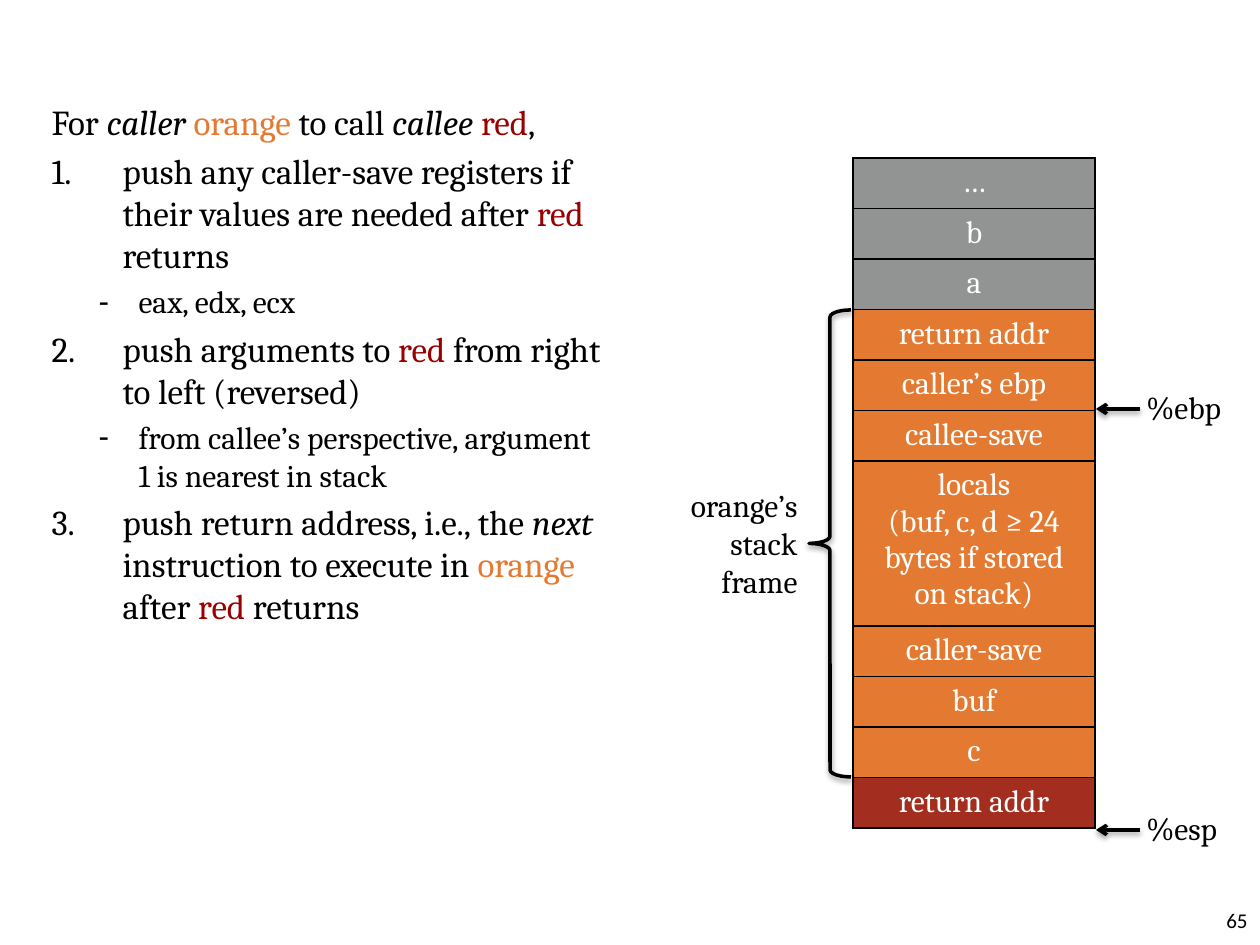
from dataclasses import dataclass

from lxml.etree import SubElement
from pptx import Presentation
from pptx.dml.color import RGBColor
from pptx.enum.shapes import MSO_CONNECTOR, MSO_SHAPE
from pptx.enum.text import MSO_ANCHOR, MSO_AUTO_SIZE, PP_ALIGN
from pptx.oxml.ns import qn
from pptx.util import Pt

PIXELS_PER_INCH = 126
EMU_PER_PIXEL = 914400 / PIXELS_PER_INCH


def emu(pixels):
    return round(pixels * EMU_PER_PIXEL)


@dataclass(frozen=True)
class Theme:
    serif: str = "Cambria"
    sans: str = "Calibri"
    black: str = "000000"
    white: str = "FFFFFE"
    orange: str = "E47932"
    red: str = "990000"
    gray_cell: str = "929393"
    red_cell: str = "A32D1F"
    step_size: int = 20
    text_size: int = 18
    number_size: int = 12
    stroke: int = 2
    border: int = 1


THEME = Theme()

RUN_STYLES = {
    "plain": (THEME.black, False),
    "italic": (THEME.black, True),
    "orange": (THEME.orange, False),
    "red": (THEME.red, False),
}

LINE_KINDS = {
    "intro": {"level": 0, "margin": 40, "hanging": 40, "size": THEME.step_size,
              "bullet": ("a:buNone", {})},
    "step": {"level": 0, "margin": 71, "hanging": 71, "size": THEME.step_size,
             "bullet": ("a:buAutoNum", {"type": "arabicPeriod"})},
    "detail": {"level": 1, "margin": 87, "hanging": 40, "size": THEME.text_size,
               "bullet": ("a:buChar", {"char": "-"})},
}

CALL_STEPS = [
    ("intro", [("For ", "plain"), ("caller ", "italic"), ("orange", "orange"),
               (" to call ", "plain"), ("callee ", "italic"), ("red", "red"), (",", "plain")]),
    ("step", [("push any caller-save registers if their values are needed after ", "plain"),
              ("red", "red"), (" returns", "plain")]),
    ("detail", [("eax, edx, ecx", "plain")]),
    ("step", [("push arguments to ", "plain"), ("red ", "red"),
              ("from right to left (reversed)", "plain")]),
    ("detail", [("from callee’s perspective, argument 1 is nearest in stack", "plain")]),
    ("step", [("push return address, i.e., the ", "plain"), ("next", "italic"),
              (" instruction to execute in ", "plain"), ("orange", "orange"),
              (" after ", "plain"), ("red ", "red"), ("returns", "plain")]),
]

LOCALS = "locals\n(buf, c, d ≥ 24 bytes if stored on stack)"
STACK = [
    (THEME.gray_cell, ["…", "b", "a"]),
    (THEME.orange, ["return addr", "caller’s ebp", "callee-save", LOCALS,
                    "caller-save", "buf", "c"]),
    (THEME.red_cell, ["return addr"]),
]


class SlideBuilder:
    def __init__(self, slide, theme):
        self.slide = slide
        self.theme = theme

    def style_font(self, font, size, color, name=None, italic=False):
        values = {"name": name or self.theme.serif, "size": Pt(size), "italic": italic}
        for attribute, value in values.items():
            setattr(font, attribute, value)
        font.color.rgb = RGBColor.from_string(color)

    def body(self, box, lines):
        placeholder = self.slide.placeholders[1]
        for attribute, value in zip(("left", "top", "width", "height"), map(emu, box)):
            setattr(placeholder, attribute, value)
        frame = placeholder.text_frame
        frame.auto_size = MSO_AUTO_SIZE.NONE
        for index, (kind, runs) in enumerate(lines):
            paragraph = frame.add_paragraph() if index else frame.paragraphs[0]
            self.list_line(paragraph, LINE_KINDS[kind], runs)
            paragraph.space_before = Pt(4 if index else 0)

    def list_line(self, paragraph, kind, runs):
        paragraph.level = kind["level"]
        properties = paragraph._p.get_or_add_pPr()
        properties.set("marL", str(emu(kind["margin"])))
        properties.set("indent", str(-emu(kind["hanging"])))
        tag, attributes = kind["bullet"]
        SubElement(properties, qn(tag), attributes)
        for text, style in runs:
            run = paragraph.add_run()
            run.text = text
            color, italic = RUN_STYLES[style]
            self.style_font(run.font, kind["size"], color, italic=italic)

    def group(self):
        return self.slide.shapes.add_group_shape().shapes

    def label(self, shapes, box, text, size, align=PP_ALIGN.LEFT, name=None, **frame_format):
        frame = shapes.add_textbox(*map(emu, box)).text_frame
        values = {"word_wrap": False, "auto_size": MSO_AUTO_SIZE.SHAPE_TO_FIT_TEXT}
        for attribute, value in (values | frame_format).items():
            setattr(frame, attribute, value)
        paragraph = frame.paragraphs[0]
        paragraph.text = text
        paragraph.alignment = align
        for run in paragraph.runs:
            self.style_font(run.font, size, self.theme.black, name)

    def stroke(self, shape):
        shape.line.color.rgb = RGBColor.from_string(self.theme.black)
        shape.line.width = Pt(self.theme.stroke)

    def shadow(self, shape):
        effects = SubElement(shape._element.spPr, qn("a:effectLst"))
        outer = SubElement(effects, qn("a:outerShdw"), {
            "blurRad": str(Pt(3.1)), "dist": str(Pt(1.6)),
            "dir": "5400000", "rotWithShape": "0"})
        color = SubElement(outer, qn("a:srgbClr"), {"val": self.theme.black})
        SubElement(color, qn("a:alpha"), {"val": "38000"})

    def arrow(self, shapes, start, end):
        connector = shapes.add_connector(MSO_CONNECTOR.STRAIGHT, *map(emu, start + end))
        self.stroke(connector)
        SubElement(connector.line._get_or_add_ln(), qn("a:tailEnd"), {"type": "arrow"})
        self.shadow(connector)

    def brace(self, shapes, box):
        shape = shapes.add_shape(MSO_SHAPE.LEFT_BRACE, *map(emu, box))
        shape.adjustments[0] = 0.17
        shape.fill.background()
        self.stroke(shape)
        self.shadow(shape)

    def register(self, name, top):
        shapes = self.group()
        self.label(shapes, (1134, top, 105, 50), name, self.theme.text_size)
        self.arrow(shapes, (1140, top + 27), (1096, top + 27))

    def stack_table(self, box, tall_height, sections):
        cells = [(color, text) for color, texts in sections for text in texts]
        table = self.slide.shapes.add_table(len(cells), 1, *map(emu, box)).table
        table.first_row = table.horz_banding = False
        row_height = emu((box[3] - tall_height) / (len(cells) - 1))
        for row, (color, text) in zip(table.rows, cells):
            row.height = emu(tall_height) if text == LOCALS else row_height
            self.stack_cell(row.cells[0], color, text)

    def stack_cell(self, cell, color, text):
        properties = cell._tc.get_or_add_tcPr()
        for side in ("a:lnL", "a:lnR", "a:lnT", "a:lnB"):
            line = SubElement(properties, qn(side), {"w": str(Pt(self.theme.border))})
            fill = SubElement(line, qn("a:solidFill"))
            SubElement(fill, qn("a:srgbClr"), {"val": self.theme.black})
        cell.fill.solid()
        cell.fill.fore_color.rgb = RGBColor.from_string(color)
        cell.text_frame.text = text
        for paragraph in cell.text_frame.paragraphs:
            paragraph.alignment = PP_ALIGN.CENTER
            self.style_font(paragraph.runs[0].font, self.theme.text_size, self.theme.white)


def main():
    presentation = Presentation()
    presentation.slide_width = emu(1260)
    presentation.slide_height = emu(945)
    slide = presentation.slides.add_slide(presentation.slide_layouts[1])
    title = slide.shapes.title._element
    title.getparent().remove(title)

    builder = SlideBuilder(slide, THEME)
    builder.body((39, 94, 578, 803), CALL_STEPS)
    builder.label(slide.shapes, (1176, 895, 84, 50), "65", THEME.number_size,
                  PP_ALIGN.RIGHT, THEME.sans, word_wrap=True,
                  auto_size=MSO_AUTO_SIZE.NONE, vertical_anchor=MSO_ANCHOR.MIDDLE)
    builder.stack_table((853, 158, 242, 670), 165, STACK)
    builder.register("%ebp", 382)
    builder.register("%esp", 803)
    frame_group = builder.group()
    builder.brace(frame_group, (809, 310, 42, 467))
    builder.label(frame_group, (669, 480, 141, 127), "orange’s\nstack\nframe",
                  THEME.text_size, PP_ALIGN.RIGHT)
    presentation.save("out.pptx")


if __name__ == "__main__":
    main()
